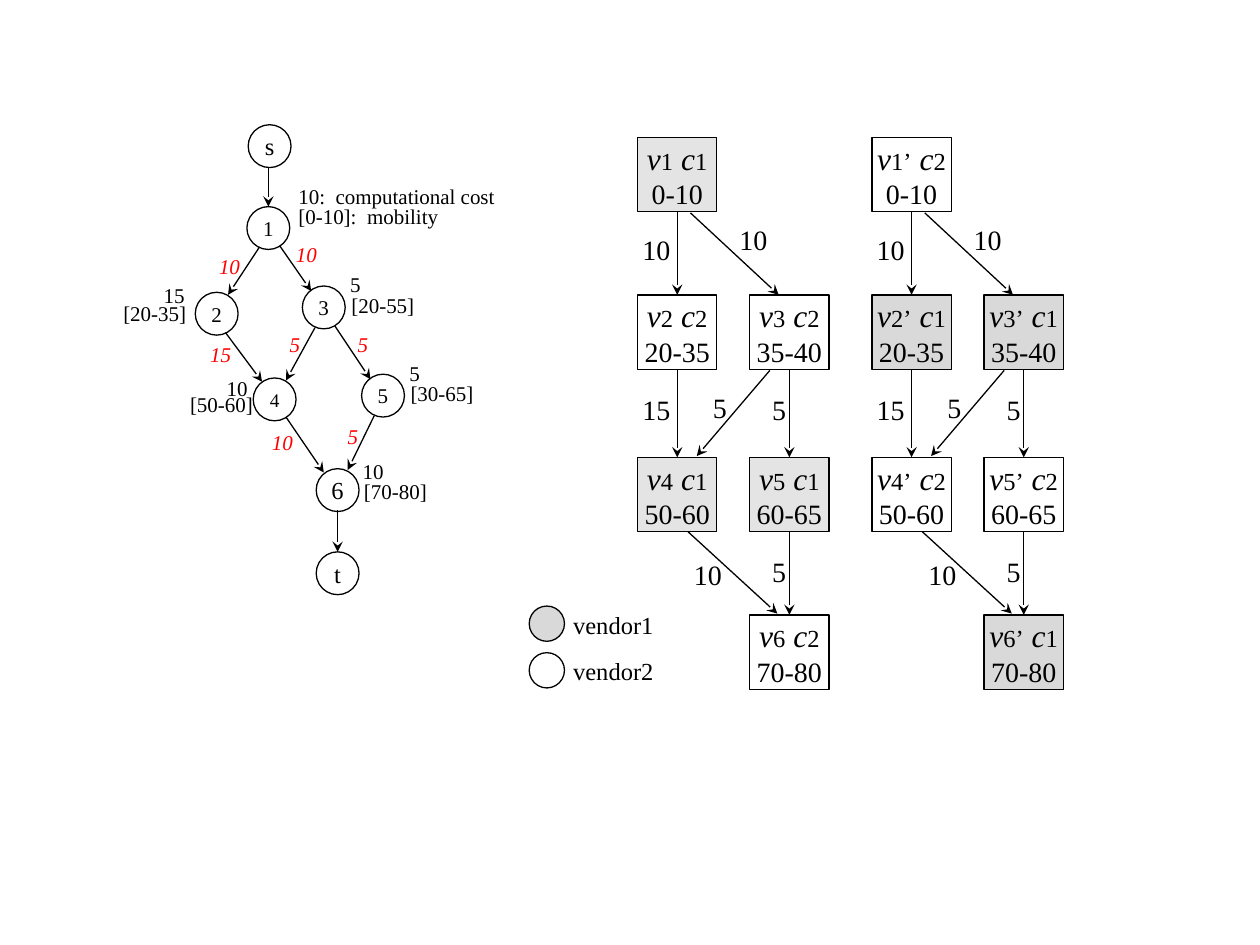
from lxml.etree import SubElement
from pptx import Presentation
from pptx.dml.color import RGBColor
from pptx.enum.shapes import MSO_CONNECTOR, MSO_SHAPE
from pptx.enum.text import MSO_ANCHOR, MSO_AUTO_SIZE, PP_ALIGN
from pptx.oxml.ns import qn
from pptx.util import Inches, Pt

FONT = "Times New Roman"
COLORS = {"black": "000000", "red": "FF0000", "gray": "D9D9D9", "white": "FFFFFF"}

# Task graph: name, left, top, font size
NODE_SIZE = 0.34
NODES = [
    ("s", 1.97, 0.99, 14), ("1", 1.96, 1.64, 12), ("2", 1.55, 2.32, 12),
    ("3", 2.4, 2.27, 12), ("4", 2.01, 3, 11), ("5", 2.87, 2.97, 12),
    ("6", 2.51, 3.72, 14), ("t", 2.51, 4.38, 14),
]
# Arrow ends: x1, y1, x2, y2
EDGES = [
    (2.13, 1.33, 2.13, 1.64), (2.06, 1.96, 1.81, 2.34), (2.22, 1.95, 2.47, 2.31),
    (1.79, 2.64, 2.08, 3.03), (2.5, 2.6, 2.27, 3.02), (2.66, 2.59, 2.94, 3.01),
    (2.27, 3.31, 2.57, 3.75), (2.97, 3.3, 2.76, 3.73), (2.68, 4.05, 2.68, 4.38),
]
# Labels: text, left, top
NODE_LABELS = [
    ("10:  computational cost", 2.27, 1.41), ("[0-10]:  mobility", 2.27, 1.57),
    ("15", 1.2, 2.19), ("[20-35]", 0.88, 2.34), ("5", 2.68, 2.11), ("[20-55]", 2.69, 2.27),
    ("10", 1.7, 2.93), ("[50-60]", 1.41, 3.06), ("5", 3.15, 2.81), ("[30-65]", 3.16, 2.97),
    ("10", 2.78, 3.59), ("[70-80]", 2.79, 3.75),
]
EDGE_LABELS = [
    ("10", 1.64, 1.96), ("10", 2.25, 1.87), ("15", 1.57, 2.66), ("5", 2.2, 2.58),
    ("5", 2.74, 2.58), ("10", 2.06, 3.36), ("5", 2.66, 3.31),
]
LEGEND = [("vendor1", "gray"), ("vendor2", None)]

# Schedule: task, column, row, vendor in the first copy, time span
TASKS = [
    (1, 0, 0, 1, "0-10"), (2, 0, 1, 2, "20-35"), (3, 1, 1, 2, "35-40"),
    (4, 0, 2, 1, "50-60"), (5, 1, 2, 1, "60-65"), (6, 1, 3, 2, "70-80"),
]
COLUMN_LEFTS = (5.06, 5.95)
ROW_TOPS = (1.09, 2.34, 3.63, 4.88)
BOX_WIDTH, BOX_HEIGHT = 0.63, 0.59
STRAIGHT_LINKS = [(1, 2), (2, 4), (3, 5), (5, 6)]
DIAGONAL_LINKS = [
    (5.48, 1.69, 6.18, 2.34), (6.11, 2.94, 5.53, 3.62), (5.46, 4.22, 6.17, 4.87),
]
LINK_LABELS = [
    ("10", 5, 1.8), ("10", 5.77, 1.72), ("15", 5, 3.07), ("5", 5.56, 3.05),
    ("5", 6.03, 3.07), ("10", 5.41, 4.38), ("5", 6.03, 4.35),
]
# Copies: horizontal offset, name suffix, fill and opacity (%) by vendor
COPIES = [
    (0, "", {1: ("gray", 70), 2: (None, 100)}),
    (1.86, "’", {1: ("gray", 100), 2: ("white", 70)}),
]

# Label box sizes by font size and text length
LABEL_HEIGHTS = {12: 0.3, 14: 0.34, 16: 0.37}
LABEL_WIDTHS = {
    (12, 1): 0.29, (12, 2): 0.37, (12, 7): 0.71, (12, 17): 1.33, (12, 23): 1.77,
    (14, 7): 0.85, (16, 1): 0.31, (16, 2): 0.43,
}

presentation = Presentation()
presentation.slide_width, presentation.slide_height = Inches(10), Inches(7.5)
slide = presentation.slides.add_slide(presentation.slide_layouts[6])


def rgb(name):
    return RGBColor.from_string(COLORS[name])


def style_paragraph(paragraph, size=None, color="black", italic=None):
    font = paragraph.font
    font.name = FONT
    font.color.rgb = rgb(color)
    font.italic = italic
    if size:
        font.size = Pt(size)


def add_outline_shape(kind, left, top, width, height, fill=None, opacity=100):
    shape = slide.shapes.add_shape(
        kind, Inches(left), Inches(top), Inches(width), Inches(height))
    shape.shadow.inherit = False
    shape.line.color.rgb = rgb("black")
    shape.line.width = Pt(0.75)
    if fill:
        shape.fill.solid()
        shape.fill.fore_color.rgb = rgb(fill)
        if opacity < 100:
            color = shape.fill._xPr.find(qn("a:solidFill"))[0]
            SubElement(color, qn("a:alpha"), val=str(opacity * 1000))
    else:
        shape.fill.background()
    shape.text_frame.word_wrap = False
    shape.text_frame.vertical_anchor = MSO_ANCHOR.MIDDLE
    return shape


def add_arrow(x1, y1, x2, y2):
    arrow = slide.shapes.add_connector(
        MSO_CONNECTOR.STRAIGHT, Inches(x1), Inches(y1), Inches(x2), Inches(y2))
    arrow.line.color.rgb = rgb("black")
    arrow.line.width = Pt(0.75)
    SubElement(arrow.line._get_or_add_ln(), qn("a:tailEnd"), type="stealth")
    SubElement(arrow._element.spPr, qn("a:effectLst"))
    return arrow


def add_label(text, left, top, size, color="black", italic=None):
    box = slide.shapes.add_textbox(
        Inches(left), Inches(top),
        Inches(LABEL_WIDTHS[size, len(text)]), Inches(LABEL_HEIGHTS[size]))
    frame = box.text_frame
    frame.word_wrap = False
    frame.auto_size = MSO_AUTO_SIZE.SHAPE_TO_FIT_TEXT
    frame.text = text
    style_paragraph(frame.paragraphs[0], size, color, italic)


def add_task_box(name, vendor, span, left, top, fill, opacity):
    box = add_outline_shape(
        MSO_SHAPE.RECTANGLE, left, top, BOX_WIDTH, BOX_HEIGHT, fill, opacity)
    title = box.text_frame.paragraphs[0]
    for text, size, italic in (
            ("v", 18, True), (name, 14, False), (" c", 18, True), (str(vendor), 14, False)):
        run = title.add_run()
        run.text = text
        run.font.size = Pt(size)
        run.font.italic = italic
    style_paragraph(title)
    span_line = box.text_frame.add_paragraph()
    span_line.text = span
    style_paragraph(span_line, 16)
    for paragraph in (title, span_line):
        paragraph.alignment = PP_ALIGN.CENTER
    return box


# Task graph on the left
for name, left, top, size in NODES:
    node = add_outline_shape(MSO_SHAPE.OVAL, left, top, NODE_SIZE, NODE_SIZE)
    node.text_frame.text = name
    paragraph = node.text_frame.paragraphs[0]
    paragraph.alignment = PP_ALIGN.CENTER
    style_paragraph(paragraph, size)
for edge in EDGES:
    add_arrow(*edge)
for label in NODE_LABELS:
    add_label(*label, 12)
for label in EDGE_LABELS:
    add_label(*label, 12, "red", True)

# Vendor legend
for index, (vendor_name, fill) in enumerate(LEGEND):
    top = 4.81 + 0.37 * index
    add_outline_shape(MSO_SHAPE.OVAL, 4.2, top, 0.28, 0.28, fill)
    add_label(vendor_name, 4.45, top - 0.02, 14)

# Schedule and its copy with the vendors swapped
for offset, suffix, fills in COPIES:
    boxes = {}
    for task, column, row, first_vendor, span in TASKS:
        vendor = 3 - first_vendor if suffix else first_vendor
        boxes[task] = add_task_box(
            f"{task}{suffix}", vendor, span,
            COLUMN_LEFTS[column] + offset, ROW_TOPS[row], *fills[vendor])
    for start, end in STRAIGHT_LINKS:
        link = add_arrow(0, 0, 0, 0)
        link.begin_connect(boxes[start], 2)
        link.end_connect(boxes[end], 0)
    for x1, y1, x2, y2 in DIAGONAL_LINKS:
        add_arrow(x1 + offset, y1, x2 + offset, y2)
    for text, left, top in LINK_LABELS:
        add_label(text, left + offset, top, 16)

presentation.save("out.pptx")
